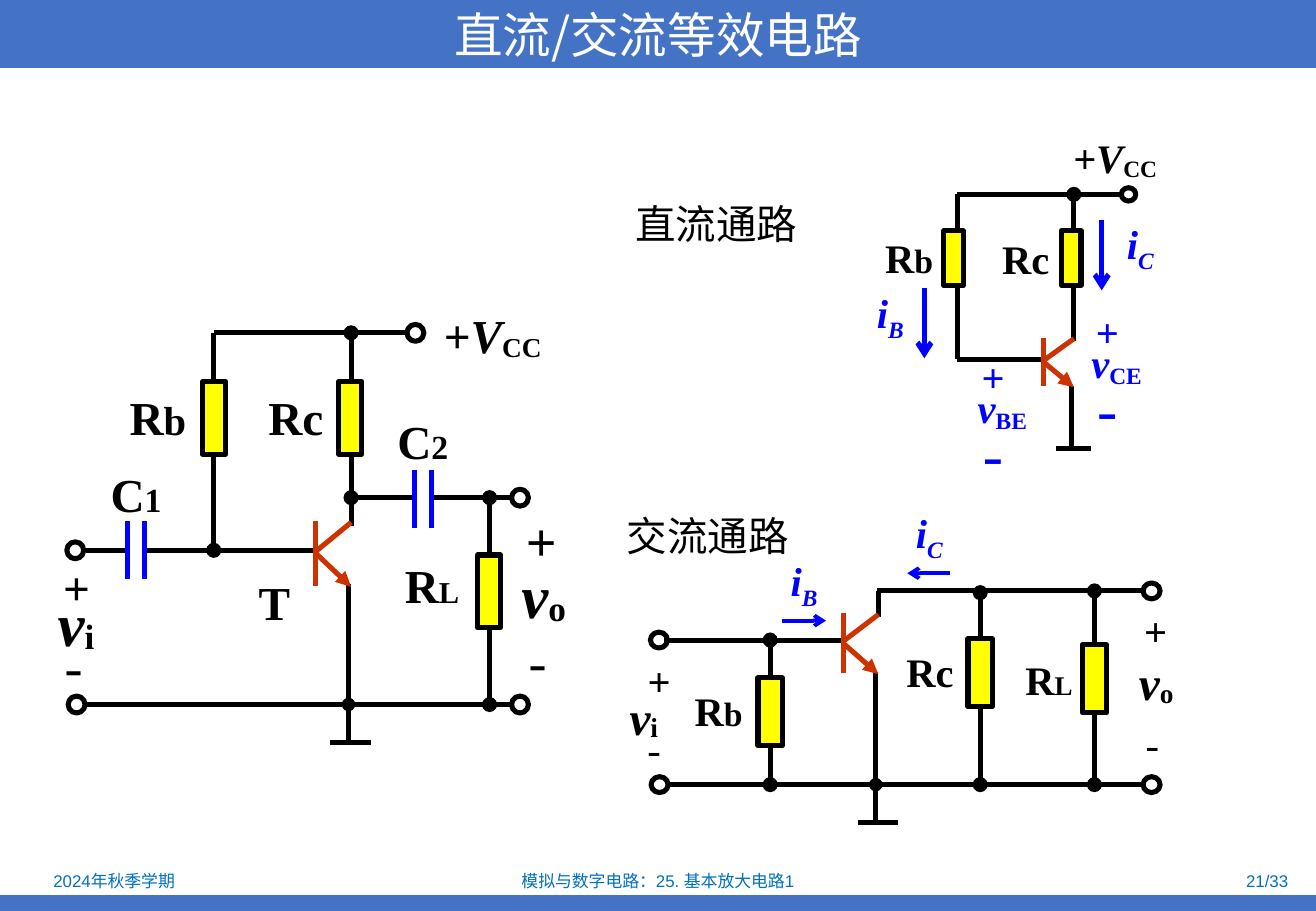
import dataclasses

import lxml.etree
import pptx
import pptx.dml.color
import pptx.enum.shapes
import pptx.enum.text
import pptx.oxml.ns
import pptx.util

Pt = pptx.util.Pt
SHAPE = pptx.enum.shapes.MSO_SHAPE
ALIGN = pptx.enum.text.PP_ALIGN


@dataclasses.dataclass(frozen=True)
class Theme:
    bar: str = "4472C4"
    footer: str = "0070C0"
    white: str = "FFFFFF"
    wire: str = "000000"
    signal: str = "0000FF"
    transistor: str = "CC3300"
    resistor: str = "FFFF00"
    serif: str = "Times New Roman"
    sans: str = "Arial"
    cjk: str = "Noto Sans CJK SC"
    title_size: float = 28.8
    footer_size: float = 10
    large: float = 28
    medium: float = 24
    stroke: float = 3
    thin: float = 2.25
    text_drop: float = 1.5


THEME = Theme()


def rgb(code):
    return pptx.dml.color.RGBColor.from_string(code)


def add_xml(parent, tag, **attributes):
    return lxml.etree.SubElement(parent, pptx.oxml.ns.qn(tag), **attributes)


def write(frame, *pieces, size, color=THEME.wire, font=THEME.serif, bold=False,
          italic=False, align=ALIGN.CENTER):
    """Fill a frame with pieces: plain strings, or (text, overrides) pairs."""
    frame.margin_left = frame.margin_right = frame.margin_top = frame.margin_bottom = 0
    frame.vertical_anchor = pptx.enum.text.MSO_ANCHOR.MIDDLE
    frame.auto_size = pptx.enum.text.MSO_AUTO_SIZE.NONE
    paragraph = frame.paragraphs[0]
    paragraph.alignment = align
    for piece in pieces:
        text, changes = (piece, {}) if isinstance(piece, str) else piece
        run = paragraph.add_run()
        run.text = text
        run.font.size = Pt(changes.get("size", size))
        run.font.bold = bold
        run.font.italic = changes.get("italic", italic)
        run.font.color.rgb = rgb(color)
        run.font.name = font
        properties = run._r.get_or_add_rPr()
        add_xml(properties, "a:ea", typeface=font)
        if "baseline" in changes:
            properties.set("baseline", str(changes["baseline"] * 1000))


@dataclasses.dataclass
class Circuit:
    """A region of the slide; components are placed relative to its corner."""
    slide: object
    left: float
    top: float

    def wire(self, x1, y1, x2, y2, color=THEME.wire, width=THEME.stroke, head=None, tail=None):
        line = self.slide.shapes.add_connector(
            pptx.enum.shapes.MSO_CONNECTOR.STRAIGHT, Pt(self.left + x1), Pt(self.top + y1),
            Pt(self.left + x2), Pt(self.top + y2))
        line.line.color.rgb = rgb(color)
        line.line.width = Pt(width)
        outline = line.line._get_or_add_ln()
        for tag, end in (("a:headEnd", head), ("a:tailEnd", tail)):
            if end:
                add_xml(outline, tag, type=end)
        add_xml(line._element.spPr, "a:effectLst")

    def component(self, kind, x, y, width, height, fill=None):
        """Place an outlined shape centred on x, y."""
        shape = self.slide.shapes.add_shape(
            kind, Pt(self.left + x - width / 2), Pt(self.top + y - height / 2),
            Pt(width), Pt(height))
        shape.shadow.inherit = False
        shape.line.color.rgb = rgb(THEME.wire)
        shape.line.width = Pt(THEME.stroke)
        if fill:
            shape.fill.solid()
            shape.fill.fore_color.rgb = rgb(fill)
        else:
            shape.fill.background()

    def resistor(self, x, top, width, height):
        self.component(SHAPE.RECTANGLE, x, top + height / 2, width, height, THEME.resistor)

    def terminal(self, x, y, width=10, height=10):
        self.component(SHAPE.OVAL, x, y, width, height)

    def capacitor(self, x, top):
        for plate in (x, x + 10.1):
            self.wire(plate, top, plate, top + 34.5, THEME.signal)

    def transistor(self, x, top, width, height):
        self.wire(x, top, x, top + height, THEME.transistor)
        self.wire(x, top + 0.5 * height, x + width, top + 1.02 * height,
                  THEME.transistor, tail="triangle")
        self.wire(x, top + 0.47 * height, x + width, top + 0.02 * height, THEME.transistor)

    def ground(self, x, y):
        self.wire(x, y, x, y + 22)
        self.wire(x - 10.8, y + 22.7, x + 13, y + 22.7)
        self.component(SHAPE.OVAL, x, y, 5, 5, THEME.wire)

    def label(self, x, y, width, *pieces, size=THEME.medium, bold=True, **style):
        """Write text centred on x, y."""
        height = 1.2 * size
        box = self.slide.shapes.add_textbox(
            Pt(self.left + x - width / 2), Pt(self.top + y - height / 2 + THEME.text_drop),
            Pt(width), Pt(height))
        box.text_frame.word_wrap = False
        write(box.text_frame, *pieces, size=size, bold=bold, **style)

    def voltage(self, x, y, width, subscript, drop=-5, **style):
        self.label(x, y, width, ("v", {"italic": True}),
                   (subscript, {"baseline": drop}), **style)

    def current(self, x, y, subscript):
        self.label(x, y, 31.7, "i", (subscript, {"baseline": -25}),
                   italic=True, color=THEME.signal)

    def heading(self, x, y, text):
        self.label(x, y, 110, text, bold=False, font=THEME.cjk)


def draw_amplifier(slide, left, top):
    circuit = Circuit(slide, left, top)
    supply, base, output, rail = 17.3, 146.2, 115, 237.6
    circuit.wire(90.7, supply, 90.7, base, tail="oval")
    circuit.wire(90.7, supply, 205.2, supply)
    circuit.wire(15.1, base, 39.6, base)
    circuit.wire(49, base, 152.6, base)
    circuit.wire(172.1, supply, 172.1, 131.8, head="oval")
    circuit.wire(170.6, 166.3, 170.6, rail)
    circuit.wire(14.4, rail, 267.1, rail)
    circuit.wire(172.1, output, 208.1, output, head="oval")
    circuit.wire(219.6, output, 267.1, output)
    circuit.wire(254.2, output, 254.2, rail, head="oval", tail="oval")
    circuit.transistor(151.2, 128.9, 20.9, 38.2)
    circuit.ground(170.6, rail)
    for x, y in ((39.6, 128.9), (209.5, 98.6)):
        circuit.capacitor(x, y)
    for x, y in ((91, 46.1), (171.7, 46.1), (253.8, 149)):
        circuit.resistor(x, y, 13.7, 43.2)
    for x, y in ((210.2, supply), (8.6, base), (9.4, rail), (272.2, output), (272.2, rail)):
        circuit.terminal(x, y)
    for x, y, name, index, index_size in (
            (57.6, 65.2, "R", "b", 24), (139.3, 65.2, "R", "c", 28),
            (44.6, 111.2, "C", "1", 20), (214.6, 79.6, "C", "2", 20),
            (220, 165.2, "R", "L", 18)):
        circuit.label(x, y, 46, name, (index, {"size": index_size}), size=THEME.large)
    circuit.label(126.7, 175.3, 33, "T", size=THEME.large)
    circuit.label(256, 16.9, 76, "+", ("V", {"italic": True}), ("CC", {"baseline": -10}),
                  size=THEME.large)
    circuit.label(9.4, 166, 22, "+", size=THEME.large)
    circuit.label(284.8, 138.6, 18, "+", size=32)
    for x, y in ((7.6, 212.8), (282.6, 209.9)):
        circuit.label(x, y, 10.8, "-", size=32, bold=False)
    circuit.voltage(9, 187.2, 22.3, "i", size=36)
    circuit.voltage(286.2, 170.6, 28, "o", size=36)


def draw_dc_path(slide, left, top):
    circuit = Circuit(slide, left, top)
    supply, base, earth = 43.2, 141.1, 193.7
    circuit.heading(64.4, 59, "直流通路")
    circuit.wire(207.4, supply, 304.6, supply)
    circuit.wire(207.4, supply, 207.4, base)
    circuit.wire(207.4, base, 259.9, base)
    circuit.wire(276.5, supply, 276.5, 130.3, head="oval")
    circuit.wire(275, 157, 275, earth)
    circuit.wire(265.7, earth, 286.6, earth)
    circuit.transistor(258.5, 128.2, 18, 28.8)
    circuit.terminal(308.9, supply, 8.6, 7.9)
    for x in (205.2, 275):
        circuit.resistor(x, 64.8, 11.5, 32.4)
    for x, y in ((293, 58.3), (187.9, 98.6)):
        circuit.wire(x, y, x, y + 41.8, THEME.signal, tail="arrow")
    circuit.label(178.9, 79.2, 42.5, "R", ("b", {"size": 20}))
    circuit.label(248, 79.9, 42.5, "Rc")
    circuit.label(301, 20.2, 67, "+V", ("CC", {"italic": False, "baseline": -10}), italic=True)
    circuit.current(315.9, 72.7, "C")
    circuit.current(167.8, 113.8, "B")
    for x, y, terminals in ((296.3, 123.1, "CE"), (228.6, 149.8, "BE")):
        circuit.label(x, y, 13.7, "+", color=THEME.signal)
        circuit.voltage(x + 5.5, y + 19, 32, terminals, -15, color=THEME.signal)
        circuit.label(x, y + 45, 12, "-", size=36, bold=False, color=THEME.signal)


def draw_ac_path(slide, left, top):
    circuit = Circuit(slide, left, top)
    collector, base, rail = 62.3, 91.4, 177.1
    circuit.heading(59.4, 28.1, "交流通路")
    circuit.wire(33.8, base, 141.1, base)
    circuit.wire(36.7, rail, 319, rail)
    circuit.wire(159.8, collector, 317.5, collector)
    circuit.wire(160.6, collector, 160.6, 77.8)
    circuit.wire(159.1, 110.2, 159.1, rail)
    circuit.transistor(139.7, 75.6, 20.9, 35.3)
    circuit.ground(159.1, rail)
    for x, start, resistor_top in (
            (96.5, base, 113.8), (221, collector + 1, 90.7), (288.7, collector, 94.3)):
        circuit.wire(x, start, x, rail, head="oval", tail="oval")
        circuit.resistor(x, resistor_top, 14.4, 40.3)
    for x, y in ((30.6, base), (31, rail), (322.6, collector), (322.6, rail)):
        circuit.terminal(x, y, 10.1, 9.4)
    for x, y, index, index_size in (
            (65.9, 131.8, "b", 20), (191.2, 108.7, "c", 24), (261.7, 113, "L", 16)):
        circuit.label(x, y, 42.5, "R", (index, {"size": index_size}))
    for x, y in ((30.6, 113.8), (325, 84.2)):
        circuit.label(x, y, 13.7, "+")
    for x, y in ((27.7, 154), (323, 151.2)):
        circuit.label(x, y, 8, "-", bold=False)
    circuit.voltage(21.6, 135, 17.3, "i", size=THEME.large)
    circuit.voltage(325.4, 114.8, 21.6, "o", size=THEME.large)
    circuit.current(116.6, 56.2, "B")
    circuit.current(190.8, 28.1, "C")
    for x1, x2, y in ((103.7, 129.6, 79.9), (203, 177.8, 51.8)):
        circuit.wire(x1, y, x2, y, THEME.signal, THEME.thin, tail="arrow")


def draw_title(slide, width, height):
    title = slide.shapes.title
    title.left, title.top, title.width, title.height = Pt(0), Pt(0), Pt(width), Pt(height)
    title.fill.solid()
    title.fill.fore_color.rgb = rgb(THEME.bar)
    write(title.text_frame, "直流/交流等效电路", size=THEME.title_size,
          color=THEME.white, font=THEME.cjk)


def draw_footer(slide, top, width, height):
    bar = slide.shapes.add_shape(
        SHAPE.RECTANGLE, Pt(0), Pt(top + height - 9.4), Pt(width), Pt(9.4))
    bar.shadow.inherit = False
    bar.fill.solid()
    bar.fill.fore_color.rgb = rgb(THEME.bar)
    bar.line.fill.background()
    for text, left, text_width, align in (
            ("2024年秋季学期", 1.4, 132.5, ALIGN.CENTER),
            ("模拟与数字电路：25. 基本放大电路1", 266.4, 247, ALIGN.CENTER),
            ("21/33", 589, 174.5, ALIGN.RIGHT)):
        box = slide.shapes.add_textbox(Pt(left), Pt(top), Pt(text_width), Pt(16))
        box.text_frame.word_wrap = True
        write(box.text_frame, text, size=THEME.footer_size, color=THEME.footer,
              font=THEME.sans, align=align)


def main():
    deck = pptx.Presentation()
    deck.slide_width, deck.slide_height = Pt(780), Pt(540)
    slide = deck.slides.add_slide(deck.slide_layouts[5])
    draw_title(slide, 780, 40.3)
    draw_footer(slide, 514, 780, 26)
    draw_amplifier(slide, 36, 180)
    draw_dc_path(slide, 360, 72)
    draw_ac_path(slide, 360, 288)
    deck.save("out.pptx")


if __name__ == "__main__":
    main()
